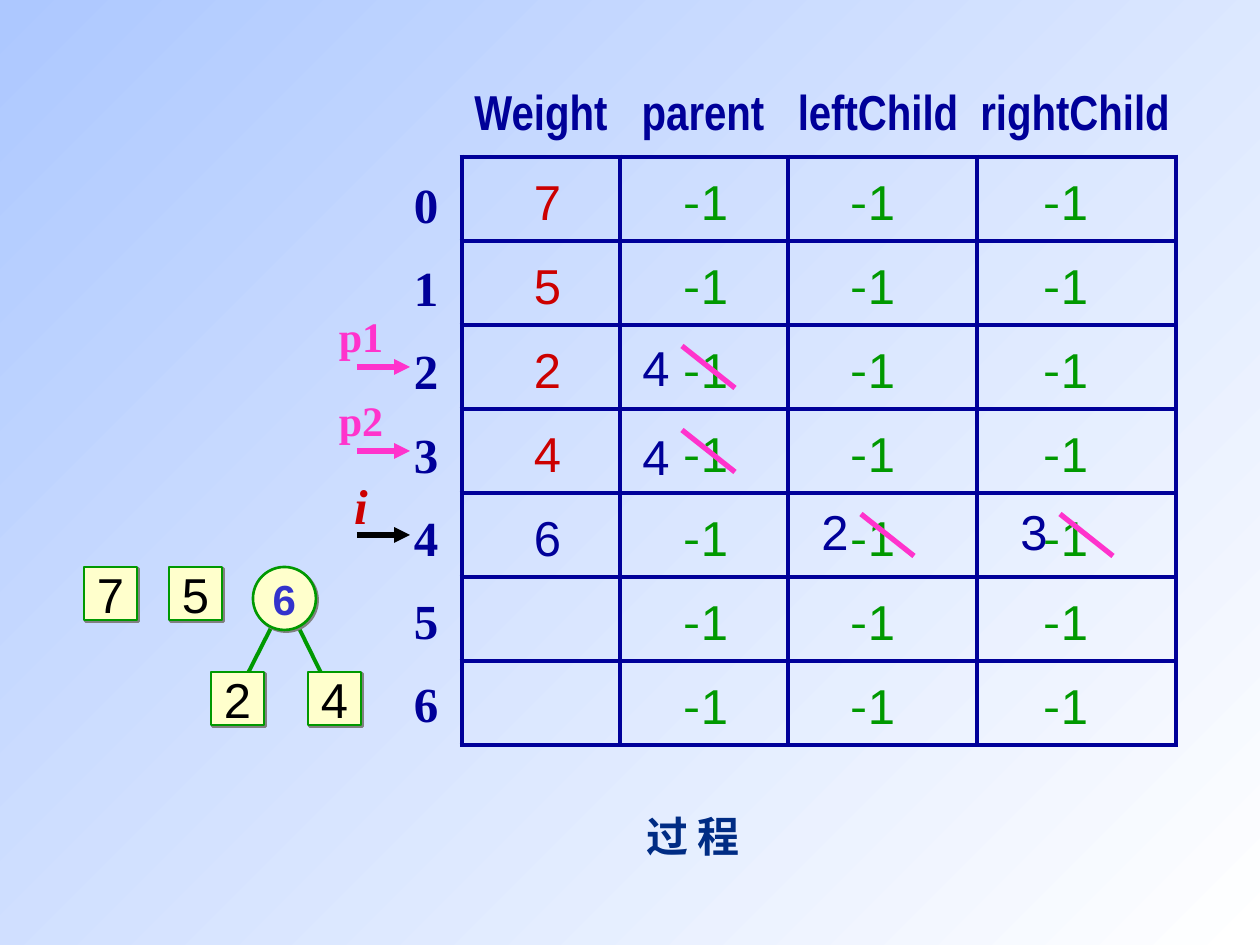
from lxml import etree
from pptx import Presentation
from pptx.dml.color import RGBColor
from pptx.enum.shapes import MSO_CONNECTOR, MSO_SHAPE
from pptx.enum.text import MSO_ANCHOR, MSO_AUTO_SIZE, PP_ALIGN
from pptx.oxml import parse_xml
from pptx.oxml.ns import qn
from pptx.util import Pt

CENTER, LEFT = PP_ALIGN.CENTER, PP_ALIGN.LEFT
MIDDLE = MSO_ANCHOR.MIDDLE
STRAIGHT = MSO_CONNECTOR.STRAIGHT
RECTANGLE, OVAL = MSO_SHAPE.RECTANGLE, MSO_SHAPE.OVAL
NO_AUTOFIT = MSO_AUTO_SIZE.NONE

EMU_PER_PX = 914400 / 126
COLORS = {
    "navy": "000099", "red": "CC0000", "green": "009900", "pink": "FF33CC",
    "black": "000000", "cream": "FFFFCC", "indigo": "3333CC", "caption": "002C84",
    "white": "FFFFFF", "sky": "ADC8FF", "shadow": "808080",
}
RGB = {name: RGBColor.from_string(value) for name, value in COLORS.items()}
NAMESPACE = 'xmlns:a="http://schemas.openxmlformats.org/drawingml/2006/main"'
SERIF, SANS, NARROW, CJK = "Times New Roman", "Arial", "Arial Narrow", "Noto Sans CJK SC"


def px(*lengths):
    """Turn pixel lengths into a list of EMU lengths."""
    return [round(length * EMU_PER_PX) for length in lengths]


def write_text(text_frame, text, size, color, font=SANS, bold=False, align=CENTER):
    """Fill a text frame without insets and give all its runs one format."""
    text_frame.text = text
    text_frame.word_wrap = False
    text_frame.vertical_anchor = MIDDLE
    text_frame.margin_left = text_frame.margin_right = 0
    text_frame.margin_top = text_frame.margin_bottom = 0
    for paragraph in text_frame.paragraphs:
        paragraph.alignment = align
        for run in paragraph.runs:
            run.font.name, run.font.size, run.font.bold = font, Pt(size), bold
            run.font.color.rgb = RGB[color]


presentation = Presentation()
presentation.slide_width, presentation.slide_height = px(1260, 945)
slide = presentation.slides.add_slide(presentation.slide_layouts[5])
shapes = slide.shapes

background = slide.background.fill
background.gradient()
background.gradient_angle = 135
for stop, color, position in zip(background.gradient_stops, ("white", "sky"), (0, 1)):
    stop.color.rgb = RGB[color]
    stop.position = position

# Caption
title = shapes.title
title.left, title.top, title.width, title.height = px(646, 804, 110, 63)
write_text(title.text_frame, "过 程", 24, "caption", SERIF, True, LEFT)
title.text_frame.auto_size = NO_AUTOFIT
title_run = title.text_frame.paragraphs[0].runs[0]
etree.SubElement(title_run.font._element, qn("a:ea"), typeface=CJK)

# Array table
GRID_LEFT, GRID_TOP, ROW_HEIGHT = 462, 157, 84
COLUMN_WIDTHS = [158, 168, 189, 199]
TEXT_INDENTS = [72, 64, 63, 67]
WEIGHTS = ["7", "5", "2", "4", "6", "", ""]
table_frame = shapes.add_table(
    len(WEIGHTS), len(COLUMN_WIDTHS),
    *px(GRID_LEFT, GRID_TOP, sum(COLUMN_WIDTHS), ROW_HEIGHT * len(WEIGHTS)))
table = table_frame.table
table.first_row = table.horz_banding = False
for column, width in zip(table.columns, COLUMN_WIDTHS):
    column.width = px(width)[0]
for row_index, weight in enumerate(WEIGHTS):
    for column_index, indent in enumerate(TEXT_INDENTS):
        cell = table.cell(row_index, column_index)
        cell.fill.background()
        cell.vertical_anchor = MIDDLE
        cell.margin_left, cell.margin_top = px(indent, 0 if column_index else 10)
        cell.margin_right = cell.margin_bottom = 0
        paragraph = cell.text_frame.paragraphs[0]
        if column_index:
            parts = [("-", CJK, "green"), ("1", SANS, "green")]
        else:
            parts = [(weight, SANS, "navy" if row_index == 4 else "red")] if weight else []
        for text, font, color in parts:
            run = paragraph.add_run()
            run.text = text
            run.font.name, run.font.size = font, Pt(28)
            run.font.color.rgb = RGB[color]
        cell_properties = cell._tc.get_or_add_tcPr()
        for position, side in enumerate(("lnL", "lnR", "lnT", "lnB")):
            cell_properties.insert(position, parse_xml(
                f'<a:{side} {NAMESPACE} w="38100"><a:solidFill>'
                f'<a:srgbClr val="{COLORS["navy"]}"/></a:solidFill></a:{side}>'))

# Lines: start x, start y, end x, end y, colour, width in points, arrowhead
lines = [
    (295, 620, 326, 683, "green", 2.25, False),
    (275, 620, 243, 683, "green", 2.25, False),
]
lines += [(357, y, 410, y, color, 3, True)
          for y, color in ((367, "pink"), (451, "pink"), (535, "black"))]
lines += [(x, y, x + 53, y + 42, "pink", 3, False)
          for x, y in ((682, 346), (682, 430), (861, 514), (1060, 514))]
for start_x, start_y, end_x, end_y, color, width, has_arrowhead in lines:
    line = shapes.add_connector(STRAIGHT, *px(start_x, start_y, end_x, end_y))
    line.line.color.rgb = RGB[color]
    line.line.width = Pt(width)
    if has_arrowhead:
        etree.SubElement(line.line._get_or_add_ln(), qn("a:tailEnd"), type="triangle")
    etree.SubElement(line._element.spPr, qn("a:effectLst"))

# Forest nodes: shape, left, top, side, text, text size, text colour, bold
nodes = [(RECTANGLE, left, top, 53, text, 28, "black", False)
         for left, top, text in ((84, 567, "7"), (169, 567, "5"),
                                 (211, 672, "2"), (308, 672, "4"))]
nodes.append((OVAL, 253, 567, 63, "6", 24, "indigo", True))
for kind, left, top, side, text, size, color, bold in nodes:
    node = shapes.add_shape(kind, *px(left, top, side, side))
    node.fill.solid()
    node.fill.fore_color.rgb = RGB["cream"]
    node.line.color.rgb = RGB["green"]
    node.line.width = Pt(1.5)
    node._element.spPr.append(parse_xml(
        f'<a:effectLst {NAMESPACE}><a:outerShdw dist="17780" dir="2700000" algn="ctr" '
        f'rotWithShape="0"><a:srgbClr val="{COLORS["shadow"]}"/></a:outerShdw></a:effectLst>'))
    write_text(node.text_frame, text, size, color, bold=bold)

# Labels: text, centre x, centre y, width, height, size, colour, font, bold
labels = [(text, x, 111, width, 72, 28, "navy", NARROW, True)
          for text, x, width in (("Weight", 541, 160), ("parent", 703, 160),
                                 ("leftChild", 878, 184), ("rightChild", 1075, 206))]
labels += [(text, x, y, 52, 72, 28, "navy", SANS, False)
           for text, x, y in (("4", 656, 367), ("4", 656, 456),
                              ("2", 835, 531), ("3", 1034, 531))]
labels += [
    ("p1", 361, 336, 69, 63, 24, "pink", SERIF, True),
    ("p2", 361, 420, 69, 63, 24, "pink", SERIF, True),
    ("i", 361, 505, 39, 72, 28, "red", SERIF, True),
    ("\n".join(map(str, range(len(WEIGHTS)))), 426, 452, 49, 573, 28, "navy", SERIF, True),
]
for text, center_x, center_y, width, height, size, color, font, bold in labels:
    label = shapes.add_textbox(
        *px(center_x - width / 2, center_y - height / 2, width, height))
    write_text(label.text_frame, text, size, color, font, bold)
    paragraphs = label.text_frame.paragraphs
    if text == "i":
        paragraphs[0].runs[0].font.italic = True
    if len(paragraphs) > 1:
        for paragraph in paragraphs:
            paragraph.line_spacing = 1.05
            paragraph.space_before = Pt(12.2)

presentation.save("out.pptx")
